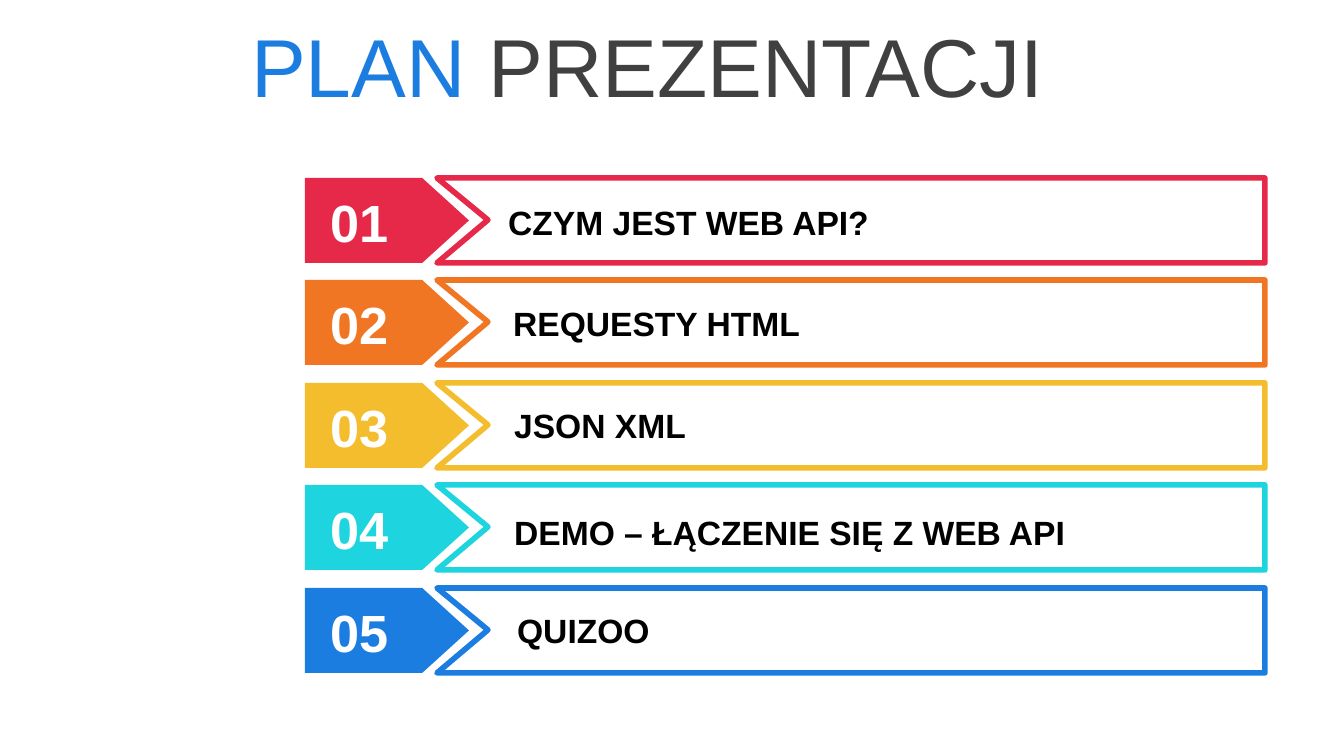
from dataclasses import dataclass

from pptx import Presentation
from pptx.dml.color import RGBColor
from pptx.enum.shapes import MSO_SHAPE
from pptx.enum.text import MSO_ANCHOR
from pptx.util import Emu, Pt

PENTAGON = MSO_SHAPE.PENTAGON
TOP, MIDDLE = MSO_ANCHOR.TOP, MSO_ANCHOR.MIDDLE
EMU_PER_PIXEL = 914400 / 134.4
FONT = "Arial"
WHITE, BLACK, GREY, BLUE = "FFFFFF", "000000", "404040", "1C7DE1"
FIRST_TOP, LAST_TOP, ROW_HEIGHT = 178, 588, 85
ARROW_LEFT, ARROW_WIDTH = 305, 164
FRAME_LEFT, FRAME_RIGHT, NOTCH = 437, 1265, 488


@dataclass
class AgendaItem:
    """One agenda row: its label, colour and label position."""
    label: str
    color: str
    label_left: int
    label_top: int


ITEMS = [
    AgendaItem("CZYM JEST WEB API?", "E62949", 495, 195),
    AgendaItem("REQUESTY HTML", "F07624", 500, 296),
    AgendaItem("JSON XML", "F4BD2D", 501, 398),
    AgendaItem("DEMO – ŁĄCZENIE SIĘ Z WEB API", "1ED4DE", 501, 505),
    AgendaItem("QUIZOO", BLUE, 504, 603),
]


def px(pixels: int) -> Emu:
    """Turn pixels into EMU."""
    return Emu(round(pixels * EMU_PER_PIXEL))


def rgb(color: str) -> RGBColor:
    """Turn a hex string into a colour."""
    return RGBColor.from_string(color)


def add_text(page, spans: list[tuple[str, str]], left: int, top: int,
             width: int, height: int, *, size: int, bold: bool = False,
             anchor=TOP, inset: int = 7) -> None:
    """Add a text box with one paragraph of coloured spans."""
    box = page.shapes.add_textbox(px(left), px(top), px(width), px(height))
    frame = box.text_frame
    frame.word_wrap = True
    frame.vertical_anchor = anchor
    frame.margin_top = frame.margin_bottom = px(inset)
    para = frame.paragraphs[0]
    for text, color in spans:
        span = para.add_run()
        span.text = text
        span.font.name = FONT
        span.font.size = Pt(size)
        span.font.bold = bold
        span.font.color.rgb = rgb(color)


def paint(shape, fill: str, line: str | None = None) -> None:
    """Set the fill and the optional outline of a shape, without shadow."""
    shape.shadow.inherit = False
    shape.fill.solid()
    shape.fill.fore_color.rgb = rgb(fill)
    if line is None:
        shape.line.fill.background()
    else:
        shape.line.color.rgb = rgb(line)
        shape.line.width = Pt(3)


def add_item(page, number: int, top: int, item: AgendaItem) -> None:
    """Draw one agenda row: numbered arrow, notched frame and label."""
    arrow = page.shapes.add_shape(PENTAGON, px(ARROW_LEFT), px(top),
                                  px(ARROW_WIDTH), px(ROW_HEIGHT))
    arrow.adjustments[0] = 0.55
    paint(arrow, item.color)

    bottom = top + ROW_HEIGHT
    outline = page.shapes.build_freeform(FRAME_LEFT, top, scale=EMU_PER_PIXEL)
    outline.add_line_segments([(FRAME_RIGHT, top), (FRAME_RIGHT, bottom),
                               (FRAME_LEFT, bottom),
                               (NOTCH, top + ROW_HEIGHT // 2)], close=True)
    paint(outline.convert_to_shape(), WHITE, item.color)

    add_text(page, [(f"{number:02d}", WHITE)], 317, top + 12, 89, 63,
             size=28, bold=True, anchor=MIDDLE, inset=0)
    add_text(page, [(item.label, BLACK)], item.label_left, item.label_top,
             712, 54, size=18, bold=True)


def main() -> None:
    """Build the agenda slide and save it."""
    deck = Presentation()
    deck.slide_width, deck.slide_height = px(1344), px(756)
    page = deck.slides.add_slide(deck.slide_layouts[6])
    add_text(page, [("PLAN ", BLUE), ("PREZENTACJI", GREY)], 238, 0, 1106, 130,
             size=44, anchor=MIDDLE)
    for index, item in enumerate(ITEMS):
        top = FIRST_TOP + (LAST_TOP - FIRST_TOP) * index // (len(ITEMS) - 1)
        add_item(page, index + 1, top, item)
    deck.save("out.pptx")


main()
